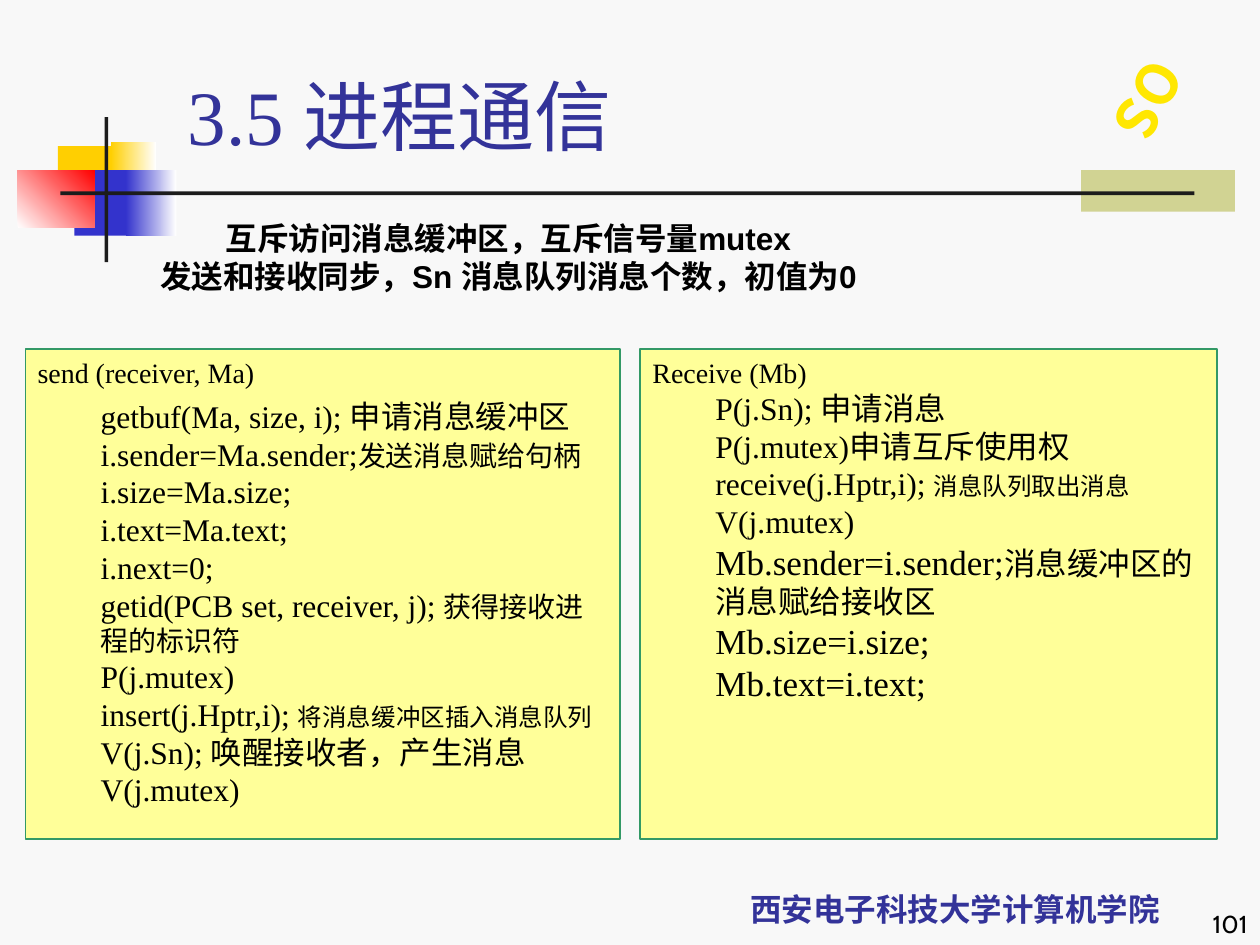
from dataclasses import dataclass

import pptx
import pptx.dml.color
import pptx.enum.shapes
import pptx.enum.text
import pptx.oxml.ns
import pptx.oxml.xmlchemy
import pptx.util

Inches = pptx.util.Inches
Pt = pptx.util.Pt
Align = pptx.enum.text.PP_ALIGN
Anchor = pptx.enum.text.MSO_ANCHOR
qn = pptx.oxml.ns.qn


@dataclass(frozen=True)
class Theme:
    back: str = "F8F8F8"
    ink: str = "000000"
    navy: str = "333399"
    blue: str = "3333CC"
    gold: str = "FFCF01"
    red: str = "FF0000"
    white: str = "FFFFFF"
    olive: str = "D1D393"
    bar: str = "1C1C1C"
    panel: str = "FFFF99"
    edge: str = "339966"
    mark: str = "FFE701"
    serif: str = "Times New Roman"
    sans: str = "Arial"
    han: str = "Noto Sans CJK SC"
    number: str = "Cabin"
    title: int = 44
    badge: int = 32
    large: int = 20
    body: int = 18
    small: int = 16
    tiny: int = 14


T = Theme()


@dataclass(frozen=True)
class Box:
    x: float
    y: float
    w: float
    h: float

    def place(self) -> tuple:
        return tuple(Inches(v) for v in (self.x, self.y, self.w, self.h))


@dataclass(frozen=True)
class Block:
    box: Box
    fill: str
    fade: str = ""
    angle: float = 0


@dataclass(frozen=True)
class Line:
    runs: tuple  # (text, size) pairs
    indent: float = 0.5
    before: float = 0


@dataclass(frozen=True)
class Panel:
    box: Box
    lines: tuple


def rgb(code: str):
    return pptx.dml.color.RGBColor.from_string(code)


def line(*parts, **style) -> Line:
    """Parts are texts, or (text, size) pairs; plain text has body size."""
    runs = tuple((p, T.body) if isinstance(p, str) else p for p in parts)
    return Line(runs, **style)


def write(shape, lines, *, font=T.serif, color=T.ink, bold=False,
          align=Align.LEFT, anchor=Anchor.TOP, wrap=True) -> None:
    frame = shape.text_frame
    frame.word_wrap = wrap
    frame.vertical_anchor = anchor
    for i, item in enumerate(lines):
        para = frame.paragraphs[0] if i == 0 else frame.add_paragraph()
        para.alignment = align
        if item.before:
            para.space_before = Pt(item.before)
        if item.indent:
            para._p.get_or_add_pPr().set("marL", str(Inches(item.indent)))
        for text, size in item.runs:
            run = para.add_run()
            run.text = text
            run.font.size = Pt(size)
            run.font.bold = bold
            run.font.color.rgb = rgb(color)
            run.font.name = font
            asian = pptx.oxml.xmlchemy.OxmlElement("a:ea")
            asian.set("typeface", T.han)
            run.font._element.append(asian)


def label(slide, box: Box, lines, **style):
    shape = slide.shapes.add_textbox(*box.place())
    write(shape, lines, **style)
    return shape


def draw(slide, block: Block):
    kind = pptx.enum.shapes.MSO_SHAPE.RECTANGLE
    shape = slide.shapes.add_shape(kind, *block.box.place())
    shape.shadow.inherit = False
    shape.line.fill.background()
    if block.fade:
        shape.fill.gradient()
        shape.fill.gradient_angle = block.angle
        for stop, code in zip(shape.fill.gradient_stops, (block.fill, block.fade)):
            stop.color.rgb = rgb(code)
    else:
        shape.fill.solid()
        shape.fill.fore_color.rgb = rgb(block.fill)
    return shape


BLOCKS = (
    Block(Box(8.58, 1.35, 1.22, 0.33), T.olive),
    Block(Box(0.46, 1.16, 0.48, 0.52), T.gold),
    Block(Box(0.88, 1.13, 0.36, 0.52), T.gold, T.white),
    Block(Box(0.59, 1.35, 0.46, 0.52), T.blue),
    Block(Box(1, 1.35, 0.4, 0.52), T.blue, T.white),
    Block(Box(0.14, 1.35, 0.61, 0.46), T.white, T.red, 45),
    Block(Box(0.83, 0.93, 0.03, 1.15), T.bar),
    Block(Box(0.48, 1.52, 9, 0.03), T.bar),
)

PANELS = (
    Panel(Box(0.2, 2.77, 4.72, 3.89), (
        line(("send (receiver, Ma)", T.small), indent=0),
        line("getbuf(Ma, size, i); 申请消息缓冲区", before=4.5),
        line("i.sender=Ma.sender;", ("发送消息赋给句柄", T.small)),
        line("i.size=Ma.size;"),
        line("i.text=Ma.text;"),
        line("i.next=0;"),
        line("getid(PCB set, receiver, j); ", ("获得接收进程的标识符", T.small)),
        line("P(j.mutex)"),
        line("insert(j.Hptr,i); ", ("将消息缓冲区插入消息队列", T.tiny)),
        line("V(j.Sn); 唤醒接收者，产生消息"),
        line("V(j.mutex)"),
    )),
    Panel(Box(5.08, 2.77, 4.58, 3.89), (
        line(("Receive (Mb)", T.small), indent=0),
        line("P(j.Sn); 申请消息"),
        line("P(j.mutex)申请互斥使用权"),
        line("receive(j.Hptr,i); ", ("消息队列取出消息", T.tiny)),
        line("V(j.mutex)"),
        line(("Mb.sender=i.sender;", T.large), "消息缓冲区的消息赋给接收区"),
        line(("Mb.size=i.size;", T.large)),
        line(("Mb.text=i.text;", T.large)),
    )),
)


def main() -> None:
    deck = pptx.Presentation()
    deck.slide_width, deck.slide_height = Inches(10), Inches(7.5)
    slide = deck.slides.add_slide(deck.slide_layouts[6])
    slide.background.fill.solid()
    slide.background.fill.fore_color.rgb = rgb(T.back)

    # Corner blocks and rules
    for block in BLOCKS:
        draw(slide, block)

    # Footer and page number
    label(slide, Box(5.33, 6.83, 4.5, 0.58),
          [line("西安电子科技大学计算机学院", indent=0)], font=T.han,
          color=T.navy, bold=True, align=Align.CENTER, anchor=Anchor.BOTTOM)
    label(slide, Box(7.92, 7, 2.08, 0.5), [line(("101", T.tiny), indent=0)],
          font=T.number, align=Align.RIGHT, anchor=Anchor.BOTTOM)

    # Tilted course badge
    badge = label(slide, Box(8.76, 0.4, 0.79, 0.71),
                  [line(("OS", T.badge), indent=0)], font=T.han, color=T.mark,
                  bold=True, align=Align.CENTER, anchor=Anchor.MIDDLE, wrap=False)
    badge.rotation = 29.3
    badge.element.find(".//" + qn("a:bodyPr")).set("vert", "eaVert")

    # Title
    label(slide, Box(1.39, 0.5, 8.52, 0.83),
          [line(("3.5 进程通信", T.title), indent=0)],
          color=T.navy, anchor=Anchor.BOTTOM)

    # Code panels
    for panel in PANELS:
        shape = draw(slide, Block(panel.box, T.panel))
        shape.line.color.rgb = rgb(T.edge)
        shape.line.width = Pt(0.75)
        write(shape, panel.lines)

    # Summary of the semaphores
    label(slide, Box(0.58, 1.69, 6.41, 0.7),
          [line("互斥访问消息缓冲区，互斥信号量mutex"),
           line("发送和接收同步，Sn 消息队列消息个数，初值为0")],
          font=T.sans, bold=True, align=Align.CENTER, wrap=False)

    deck.save("out.pptx")


if __name__ == "__main__":
    main()
